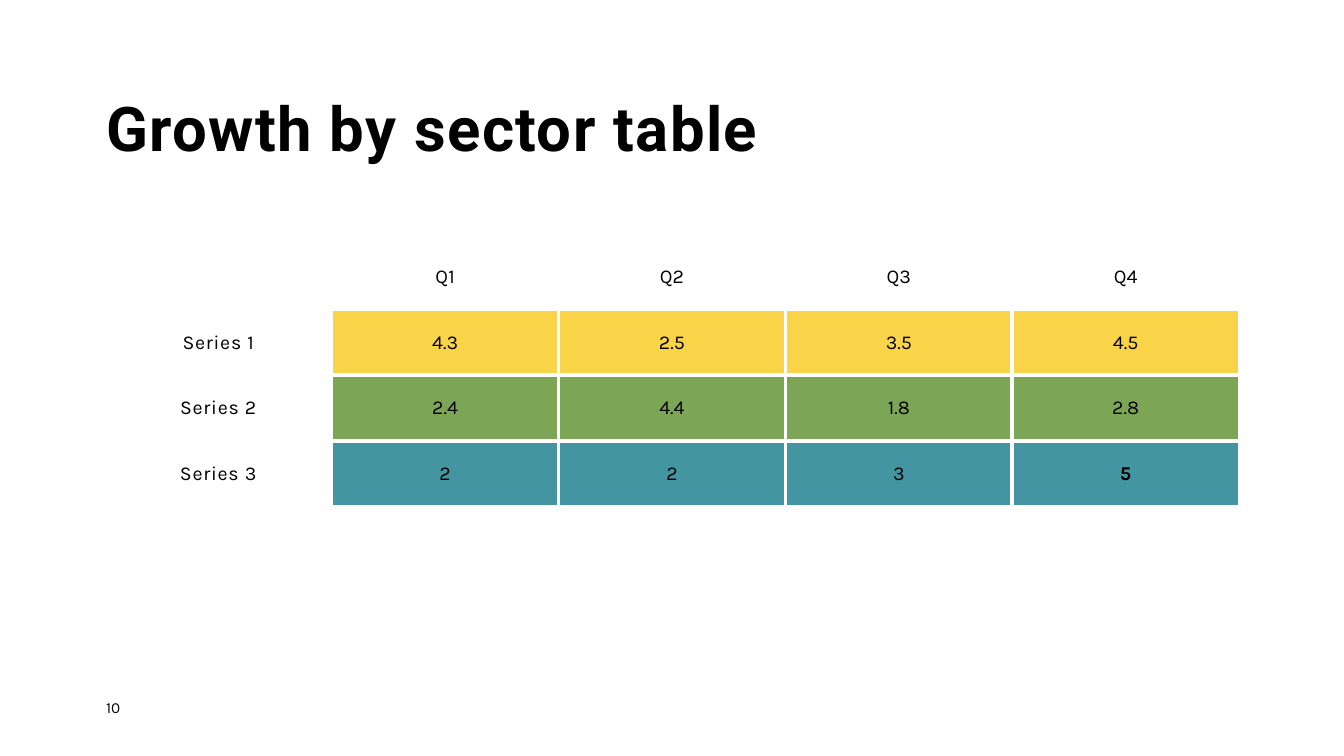
from dataclasses import dataclass

import lxml.etree
import pptx
import pptx.dml.color
import pptx.enum.text
import pptx.oxml.ns
import pptx.util

COLOURS = {
    "white": "FFFFFF",
    "ink": "000000",
    "yellow": "F9D448",
    "green": "7CA655",
    "teal": "4495A2",
}
SLIDE_WIDTH = pptx.util.Inches(13.33)
SLIDE_HEIGHT = pptx.util.Inches(7.5)
LEFT_MARGIN = 0.079
COLUMN = pptx.util.Inches(2.25)
ROW = pptx.util.Inches(0.65)
QUARTERS = ["Q1", "Q2", "Q3", "Q4"]
OUTER_LINE, INNER_LINE, HEADER_LINE = 2.25, 3, 1


@dataclass(frozen=True)
class Series:
    name: str
    values: tuple[str, ...]
    colour: str


SECTORS = [
    Series("Series 1", ("4.3", "2.5", "3.5", "4.5"), "yellow"),
    Series("Series 2", ("2.4", "4.4", "1.8", "2.8"), "green"),
    Series("Series 3", ("2", "2", "3", "5"), "teal"),
]


def across(share: float) -> int:
    return round(SLIDE_WIDTH * share)


def down(share: float) -> int:
    return round(SLIDE_HEIGHT * share)


def rgb(colour: str) -> pptx.dml.color.RGBColor:
    return pptx.dml.color.RGBColor.from_string(COLOURS[colour])


def write(frame, text: str, *, size: float = 14, font: str = "Karla",
          bold: bool = False, align=pptx.enum.text.PP_ALIGN.LEFT,
          spacing: float = 0, line_spacing: float = 1) -> None:
    paragraph = frame.paragraphs[0]
    paragraph.alignment = align
    paragraph.line_spacing = line_spacing
    run = paragraph.add_run()
    run.text = text
    run.font.size = pptx.util.Pt(size)
    run.font.name = font
    run.font.bold = bold
    run.font.color.rgb = rgb("ink")
    if spacing:
        run.font._element.set("spc", str(round(spacing * 100)))


def clear_insets(frame) -> None:
    frame.margin_left = frame.margin_right = 0
    frame.margin_top = frame.margin_bottom = 0
    frame.word_wrap = True


def border(cell, widths: dict[str, float]) -> None:
    """Draw white borders; sides are L, R, T and B, widths in points."""
    properties = cell._tc.get_or_add_tcPr()
    qn = pptx.oxml.ns.qn
    for side, width in widths.items():
        line = lxml.etree.SubElement(properties, qn(f"a:ln{side}"),
                                     w=str(pptx.util.Pt(width)))
        fill = lxml.etree.SubElement(line, qn("a:solidFill"))
        lxml.etree.SubElement(fill, qn("a:srgbClr"), val=COLOURS["white"])


def border_widths(row: int, column: int) -> dict[str, float]:
    """Lines between two coloured cells are thick, header lines thin."""
    if row == 0:
        return {"L": HEADER_LINE, "R": HEADER_LINE,
                "T": HEADER_LINE, "B": OUTER_LINE}
    coloured = column > 0
    inner = {
        "L": column > 1,
        "R": coloured and column < len(QUARTERS),
        "T": coloured and row > 1,
        "B": coloured and row < len(SECTORS),
    }
    return {side: INNER_LINE if thick else OUTER_LINE
            for side, thick in inner.items()}


def add_growth_table(slide) -> None:
    rows = [("", *QUARTERS)] + [(s.name, *s.values) for s in SECTORS]
    row_count, column_count = len(rows), len(rows[0])
    growth = slide.shapes.add_table(
        row_count, column_count, across(0.078), down(0.323),
        COLUMN * column_count, ROW * row_count).table
    growth.first_row = growth.horz_banding = False
    for row, texts in enumerate(rows):
        growth.rows[row].height = ROW
        for column, text in enumerate(texts):
            cell = growth.cell(row, column)
            cell.vertical_anchor = pptx.enum.text.MSO_ANCHOR.MIDDLE
            border(cell, border_widths(row, column))
            if row and column:
                cell.fill.solid()
                cell.fill.fore_color.rgb = rgb(SECTORS[row - 1].colour)
            else:
                cell.fill.background()
            if text:
                is_peak = (row, column) == (row_count - 1, column_count - 1)
                write(cell.text_frame, text, bold=is_peak,
                      align=pptx.enum.text.PP_ALIGN.CENTER,
                      spacing=0.5 if row and not column else 0)


def main() -> None:
    deck = pptx.Presentation()
    deck.slide_width, deck.slide_height = SLIDE_WIDTH, SLIDE_HEIGHT
    slide = deck.slides.add_slide(deck.slide_layouts.get_by_name("Title Only"))

    heading = slide.shapes.title
    heading.left, heading.top = across(LEFT_MARGIN), down(0.128)
    heading.width, heading.height = across(0.62), down(0.09)
    clear_insets(heading.text_frame)
    heading.text_frame.auto_size = pptx.enum.text.MSO_AUTO_SIZE.NONE
    heading.text_frame.vertical_anchor = pptx.enum.text.MSO_ANCHOR.BOTTOM
    write(heading.text_frame, "Growth by sector table", size=44, font="Roboto",
          bold=True, spacing=1, line_spacing=0.9)

    add_growth_table(slide)

    page_number = slide.shapes.add_textbox(
        across(LEFT_MARGIN), down(0.923), across(0.043), down(0.036))
    clear_insets(page_number.text_frame)
    write(page_number.text_frame, "10", size=11)

    deck.save("out.pptx")


if __name__ == "__main__":
    main()
